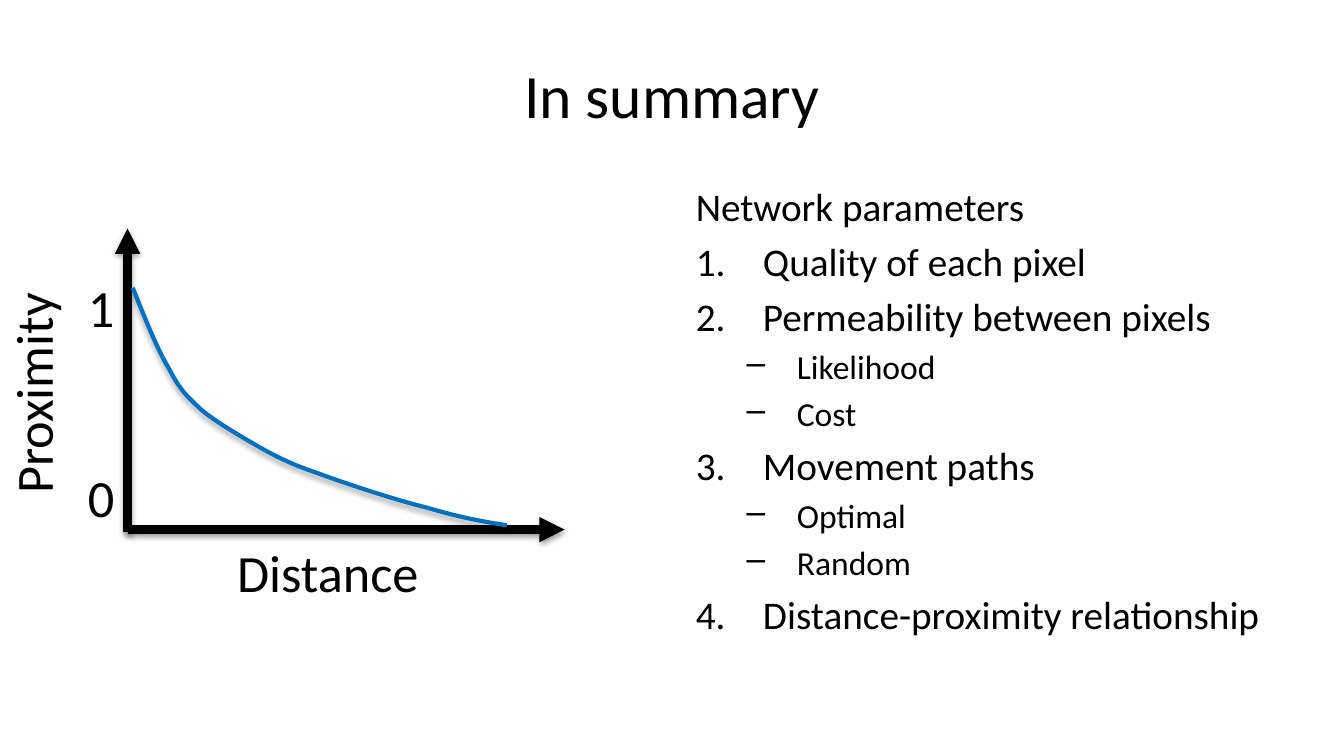
from lxml import etree
from pptx import Presentation
from pptx.dml.color import RGBColor
from pptx.enum.shapes import MSO_CONNECTOR
from pptx.enum.text import MSO_ANCHOR, PP_ALIGN
from pptx.oxml.ns import qn
from pptx.util import Cm, Pt

STRAIGHT = MSO_CONNECTOR.STRAIGHT
MIDDLE, TOP = MSO_ANCHOR.MIDDLE, MSO_ANCHOR.TOP
CENTER, LEFT = PP_ALIGN.CENTER, PP_ALIGN.LEFT

COLORS = {"text": "000000", "axis": "000000", "curve": "0070C0", "shadow": "000000"}
FONT = {"name": "Calibri", "bold": False, "italic": False}


def add_text(box, lines, align=CENTER, anchor=TOP):
    """Add a text box; each line is (text, size in points, space before in points)."""
    text_box = slide.shapes.add_textbox(*(Cm(v) for v in box))
    frame = text_box.text_frame
    frame.word_wrap = True
    frame.vertical_anchor = anchor
    for i, (text, size, before) in enumerate(lines):
        paragraph = frame.add_paragraph() if i else frame.paragraphs[0]
        paragraph.alignment = align
        paragraph.space_before = Pt(before)
        run = paragraph.add_run()
        run.text = text
        for key, value in {**FONT, "size": Pt(size)}.items():
            setattr(run.font, key, value)
        run.font.color.rgb = RGBColor.from_string(COLORS["text"])
    return text_box


def style_line(shape, color, width, distance, opacity):
    """Set the stroke and a soft shadow straight below it."""
    shape.line.color.rgb = RGBColor.from_string(COLORS[color])
    shape.line.width = Pt(width)
    effects = etree.SubElement(shape._element.spPr, qn("a:effectLst"))
    shadow = etree.SubElement(effects, qn("a:outerShdw"), blurRad=str(Pt(3.1)),
                              dist=str(Pt(distance)), dir="5400000", rotWithShape="0")
    tint = etree.SubElement(shadow, qn("a:srgbClr"), val=COLORS["shadow"])
    etree.SubElement(tint, qn("a:alpha"), val=str(opacity * 1000))


prs = Presentation()
prs.slide_width, prs.slide_height = Cm(25.4), Cm(14.29)
slide = prs.slides.add_slide(prs.slide_layouts[6])

# Title
add_text((1.27, 0.58, 22.86, 2.39), [("In summary", 33, 0)], anchor=MIDDLE)

# Network parameters: (kind, text)
parameters = [
    ("heading", "Network parameters"),
    ("number", "Quality of each pixel"),
    ("number", "Permeability between pixels"),
    ("dash", "Likelihood"),
    ("dash", "Cost"),
    ("number", "Movement paths"),
    ("dash", "Optimal"),
    ("dash", "Random"),
    ("number", "Distance-proximity relationship"),
]
sizes = {"heading": 21, "number": 21, "dash": 18}
lines = [(text, sizes[kind], 0.2 * sizes[kind] if i else 0)
         for i, (kind, text) in enumerate(parameters)]
parameter_list = add_text((12.9, 3.33, 11.23, 9.42), lines, LEFT)
# kind: (level, left margin, hanging indent, bullet tag, bullet attributes)
bullets = {
    "number": (0, 1.27, -1.27, "a:buAutoNum", {"type": "arabicPeriod"}),
    "dash": (1, 1.91, -0.95, "a:buChar", {"char": "–"}),
}
for (kind, _), paragraph in zip(parameters, parameter_list.text_frame.paragraphs):
    if kind in bullets:
        level, margin, indent, tag, attributes = bullets[kind]
        paragraph.level = level
        properties = paragraph._p.get_or_add_pPr()
        properties.set("marL", str(Cm(margin)))
        properties.set("indent", str(Cm(indent)))
        etree.SubElement(properties, qn(tag), attributes)

# Axes
for ends in [(2.41, 10.01, 10.67, 10.01), (2.41, 10.06, 2.41, 4.32)]:
    axis = slide.shapes.add_connector(STRAIGHT, *(Cm(v) for v in ends))
    style_line(axis, "axis", 4.5, 1.6, 38)
    etree.SubElement(axis.line._get_or_add_ln(), qn("a:tailEnd"), type="triangle")

# Decay curve in hundredths of a centimetre: two control points and an end each
start = (251, 544)
segments = [
    [(274, 602), (297, 660), (320, 698)],
    [(340, 737), (353, 749), (381, 775)],
    [(409, 798), (447, 820), (483, 841)],
    [(518, 861), (546, 876), (599, 894)],
    [(653, 914), (747, 945), (808, 960)],
    [(869, 978), (912, 986), (958, 993)],
]
outline = slide.shapes.build_freeform(*start, scale=Cm(0.01))
outline.add_line_segments([segment[-1] for segment in segments], close=False)
curve = outline.convert_to_shape()
curve.fill.background()
style_line(curve, "curve", 2.25, 1.8, 35)
# Turn the straight pieces into Bézier pieces
straight_pieces = list(curve._element.iter(qn("a:lnTo")))
for piece, segment in zip(straight_pieces, segments):
    piece.clear()
    bezier = etree.Element(qn("a:cubicBezTo"))
    for x, y in segment:
        etree.SubElement(bezier, qn("a:pt"), x=str(x - start[0]), y=str(y - start[1]))
    piece.getparent().replace(piece, bezier)

# Axis labels
add_text((3.12, 10.08, 6.15, 1.45), [("Distance", 28, 0)])
proximity = add_text((-2.03, 6.71, 5.28, 1.45), [("Proximity", 28, 0)])
proximity.rotation = 270
add_text((1.3, 5.08, 1.22, 5.05), [("1", 28, 0), ("0", 28, 68.4)])

prs.save("out.pptx")
